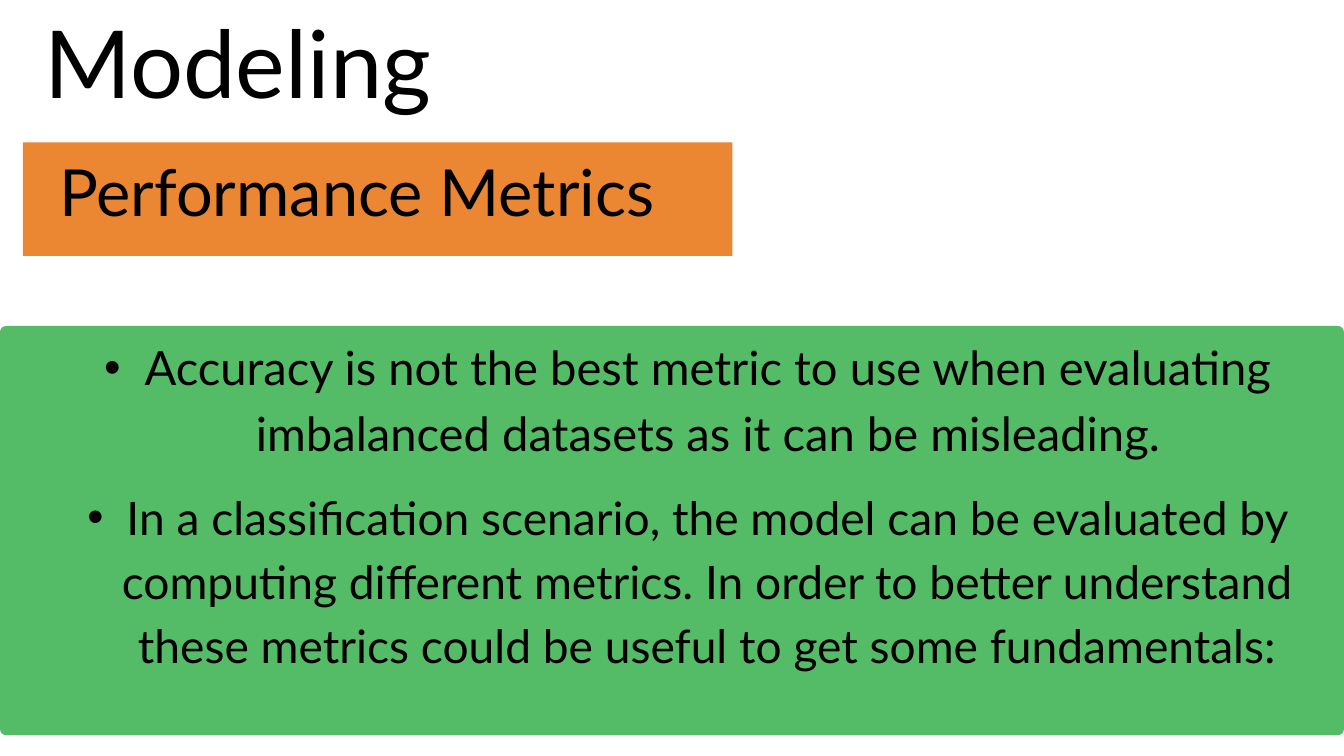
from pptx import Presentation
from pptx.dml.color import RGBColor
from pptx.enum.shapes import MSO_SHAPE
from pptx.enum.text import MSO_ANCHOR, MSO_AUTO_SIZE, PP_ALIGN
from pptx.oxml.ns import qn
from pptx.util import Pt
from lxml.etree import SubElement

COLORS = {"ink": "000000", "band": "EB8633", "panel": "54BB67"}
POINTS = [
    dict(text="Accuracy is not the best metric to use when evaluating "
              "imbalanced datasets as it can be misleading.",
         box=(-8.6, 352.8, 1448.6, 138.2), size=50.5, line=70.7,
         left=85.7, hang=43.2),
    dict(text="In a classification scenario, the model can be evaluated by "
              "computing different metrics. In order to better understand "
              "these metrics could be useful to get some fundamentals:",
         box=(-8.6, 514.1, 1448.6, 273.6), size=49.4, line=69.1,
         left=84.2, hang=41.8),
]


def write(frame, text, *, size, line, font="Lato", color="ink", left=0, hang=0):
    """Fill a frame with one centred paragraph; a hang makes it a bullet."""
    frame.word_wrap = True
    frame.auto_size = MSO_AUTO_SIZE.NONE
    frame.vertical_anchor = MSO_ANCHOR.TOP
    frame.margin_left = frame.margin_right = 0
    frame.margin_top = frame.margin_bottom = 0
    para = frame.paragraphs[0]
    para.text = text
    para.alignment = PP_ALIGN.CENTER
    para.line_spacing = Pt(line)
    if hang:
        para.level = 1
        props = para._p.get_or_add_pPr()
        props.set("marL", str(Pt(left)))
        props.set("indent", str(-Pt(hang)))
        SubElement(props, qn("a:buFont"), typeface="Arial")
        SubElement(props, qn("a:buChar"), char="•")
    style = para.runs[0].font
    style.name, style.size = font, Pt(size)
    style.color.rgb = RGBColor.from_string(COLORS[color])


class Deck:
    def __init__(self, wide, high):
        self.file = Presentation()
        self.file.slide_width, self.file.slide_height = Pt(wide), Pt(high)
        self.slide = self.file.slides.add_slide(self.file.slide_layouts[5])

    def title(self, text, box, **style):
        head = self.slide.shapes.title
        head.left, head.top, head.width, head.height = map(Pt, box)
        write(head.text_frame, text, **style)

    def block(self, box, color, curve=0):
        kind = MSO_SHAPE.ROUNDED_RECTANGLE if curve else MSO_SHAPE.RECTANGLE
        shape = self.slide.shapes.add_shape(kind, *map(Pt, box))
        if curve:
            shape.adjustments[0] = curve / min(box[2:])
        shape.shadow.inherit = False
        shape.fill.solid()
        shape.fill.fore_color.rgb = RGBColor.from_string(COLORS[color])
        shape.line.fill.background()

    def label(self, text, box, **style):
        frame = self.slide.shapes.add_textbox(*map(Pt, box)).text_frame
        write(frame, text, **style)


def main():
    deck = Deck(1440, 810)
    deck.title("Modeling", (0, -15.1, 509.8, 194.4), size=100.5, line=140.7)
    deck.block((24.5, 152.6, 760.3, 121.7), "band")
    deck.block((0, 349.2, 1440, 438.5), "panel", curve=6.5)
    deck.label("Performance Metrics", (24.5, 149, 715.7, 93.6),
               size=69.5, line=97.3)
    for point in POINTS:
        deck.label(**point)
    deck.file.save("out.pptx")


if __name__ == "__main__":
    main()
